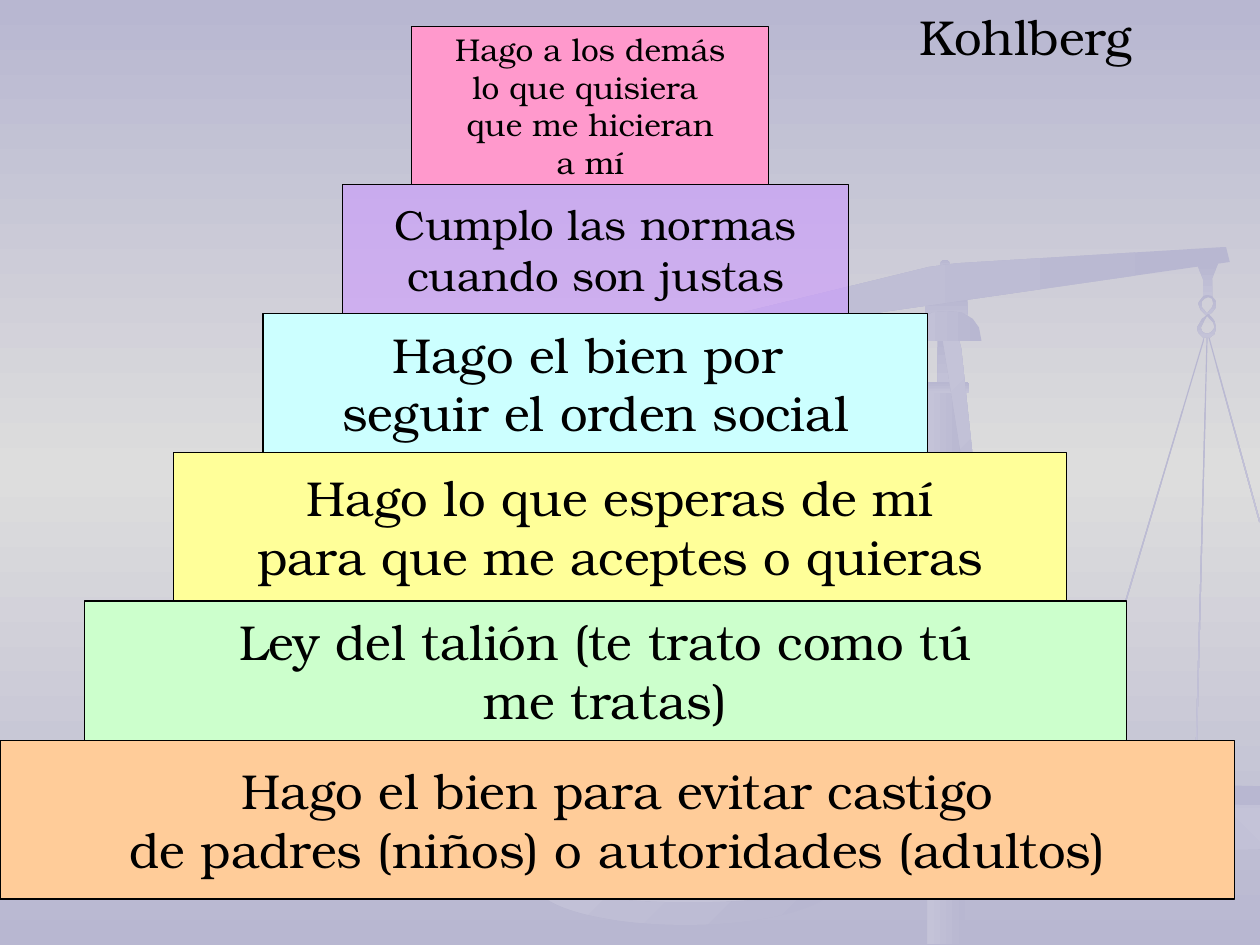
import pptx
import pptx.util
import pptx.dml.color
import pptx.enum.shapes
import pptx.enum.text
import pptx.oxml.ns
import copy
import lxml.etree

Pt = pptx.util.Pt
RGB = pptx.dml.color.RGBColor.from_string
qn = pptx.oxml.ns.qn
SHAPE = pptx.enum.shapes.MSO_SHAPE
ALIGN = pptx.enum.text.PP_ALIGN
ANCHOR = pptx.enum.text.MSO_ANCHOR

COLORS = {
    "edge": "B8B7D1", "middle": "DDDDDD", "light": "C4C3D8", "ink": "000000",
    "pink": "FF99CC", "violet": "CC99FF", "cyan": "CCFFFF",
    "yellow": "FFFF99", "green": "CCFFCC", "orange": "FFCC99",
}
GRID = Pt(0.72)


def set_gradient(fill, start, end, angle):
    fill.gradient()
    fill.gradient_angle = 360 - angle
    for stop, color, position in zip(fill.gradient_stops, (start, end), (0, 1)):
        stop.color.rgb = RGB(COLORS[color])
        stop.position = position


def write_text(shape, text, size=28, align=ALIGN.CENTER, anchor=ANCHOR.MIDDLE, wrap=False):
    frame = shape.text_frame
    frame.word_wrap = wrap
    frame.vertical_anchor = anchor
    frame.text = text
    for paragraph in frame.paragraphs:
        paragraph.alignment = align
        font = paragraph.font
        font.size = Pt(size)
        font.name = "TeX Gyre Bonum"
        font.color.rgb = RGB(COLORS["ink"])


presentation = pptx.Presentation()
presentation.slide_width = Pt(720)
presentation.slide_height = Pt(540)
slide = presentation.slides.add_slide(presentation.slide_layouts[6])
shapes = slide.shapes

set_gradient(slide.background.fill, "edge", "edge", 90)
stop_list = slide.background._cSld.find(".//" + qn("a:gsLst"))
stop_list.insert(1, copy.deepcopy(stop_list[0]))
middle_stop = slide.background.fill.gradient_stops[1]
middle_stop.position = 0.5
middle_stop.color.rgb = RGB(COLORS["middle"])

pan_top = [[(958, 624), (875, 623), (846, 624), (831, 626), (827, 628), (832, 633), (852, 638),
            (894, 642), (935, 644), (1000, 645), (1000, 626)]]
pan_bowl = [[(831, 633), (842, 649), (865, 663), (892, 670), (928, 674), (957, 675), (1000, 674),
             (1000, 643), (953, 643), (886, 640)]]
pan_inside = [[(956, 623), (862, 623), (834, 628), (852, 633), (893, 637), (933, 638),
               (1000, 639), (1000, 624)]]
hook = [[(967, 209), (950, 210), (955, 222), (955, 236), (962, 236), (962, 221)]]
upper_link = [
    [(958, 251), (962, 248), (965, 244), (965, 239), (962, 235), (958, 234), (955, 235),
     (952, 239), (951, 241), (953, 246)],
    [(959, 236), (962, 237), (963, 241), (962, 244), (958, 249), (954, 244), (954, 239), (956, 237)],
]
lower_link = [
    [(951, 264), (955, 268), (960, 268), (964, 265), (965, 260), (964, 255), (962, 252),
     (959, 249), (954, 253), (950, 260)],
    [(953, 260), (956, 254), (958, 251), (963, 256), (964, 260), (961, 264), (957, 265), (954, 263)],
]
beam = [[(973, 196), (976, 208), (525, 273), (524, 264), (737, 212), (759, 209)]]
brace = [[(791, 539), (750, 280), (748, 268), (760, 265), (763, 277)]]
dome = [[(752, 247), (763, 248), (772, 253), (777, 260), (779, 271), (724, 271), (726, 260),
         (732, 253), (740, 248)]]

scale_parts = [
    (SHAPE.RECTANGLE, (528.5, 170.6, 24.5, 13), 0, 90),
    (SHAPE.OVAL, (537.1, 148.3, 5.8, 5.8), 0, 90),
    (SHAPE.RECTANGLE, (650.9, 187.2, 0.7, 259.2), 16.6, 90),
    (SHAPE.RECTANGLE, (686.2, 191.5, 0.7, 249.8), 1.5, 90),
    (SHAPE.RECTANGLE, (704.9, 190.1, 0.7, 110.2), 344.6, 90),
    (None, pan_top, 0, 90),
    (None, pan_bowl, 0, 315),
    (None, pan_inside, 0, 180),
    (None, hook, 0, 90),
    (None, upper_link, 0, 90),
    (None, lower_link, 0, 90),
    (None, beam, 0, 180),
    (SHAPE.OVAL, (305.3, 479.5, 172.8, 49), 0, 225),
    (SHAPE.OVAL, (299.5, 479.5, 187.9, 36), 0, 90),
    (SHAPE.RECTANGLE, (529.9, 221.8, 21.6, 317.5), 0, 180),
    (SHAPE.RECTANGLE, (535.7, 193, 9.4, 30.2), 0, 90),
    (SHAPE.ROUNDED_RECTANGLE, (527.8, 218.2, 25.9, 6.5), 0, 90),
    (None, brace, 0, 225),
    (None, dome, 0, 180),
]
for preset, geometry, rotation, angle in scale_parts:
    if preset is None:
        builder = shapes.build_freeform(*geometry[0][0], scale=GRID)
        builder.add_line_segments(geometry[0][1:])
        for contour in geometry[1:]:
            builder.move_to(*contour[0])
            builder.add_line_segments(contour[1:])
        shape = builder.convert_to_shape()
    else:
        shape = shapes.add_shape(preset, *map(Pt, geometry))
    shape.rotation = rotation
    shape.shadow.inherit = False
    shape.line.fill.background()
    set_gradient(shape.fill, "edge", "light", angle)

tiers = [
    ("orange", 0, 705.6, 423, 513.8, 28,
     "Hago el bien para evitar castigo\nde padres (niños) o autoridades (adultos)"),
    ("green", 48.2, 595.4, 343.5, 423, 28, "Ley del talión (te trato como tú\nme tratas)"),
    ("yellow", 99.2, 510.3, 258.5, 343.5, 28,
     "Hago lo que esperas de mí\npara que me aceptes o quieras"),
    ("cyan", 150.3, 379.8, 179.2, 258.5, 28, "Hago el bien por \nseguir el orden social"),
    ("violet", 195.7, 289.2, 105.5, 179.2, 24, "Cumplo las normas\ncuando son justas"),
    ("pink", 235.2, 204.2, 15, 105.5, 18,
     "Hago a los demás\nlo que quisiera \nque me hicieran\na mí"),
]
for color, left, width, top, bottom, size, text in tiers:
    tier = shapes.add_shape(SHAPE.RECTANGLE, Pt(left), Pt(top), Pt(width), Pt(bottom - top))
    tier.shadow.inherit = False
    tier.fill.solid()
    tier.fill.fore_color.rgb = RGB(COLORS[color])
    tier.line.color.rgb = RGB(COLORS["ink"])
    tier.line.width = Pt(0.75)
    write_text(tier, text, size=size)
    if color == "violet":
        fill_color = tier._element.spPr.find(qn("a:solidFill"))[0]
        lxml.etree.SubElement(fill_color, qn("a:alpha")).set("val", "59000")

author = shapes.add_textbox(Pt(518.4), Pt(0), Pt(229.7), Pt(41))
write_text(author, "Kohlberg", align=ALIGN.LEFT, anchor=ANCHOR.TOP, wrap=True)

presentation.save("out.pptx")
